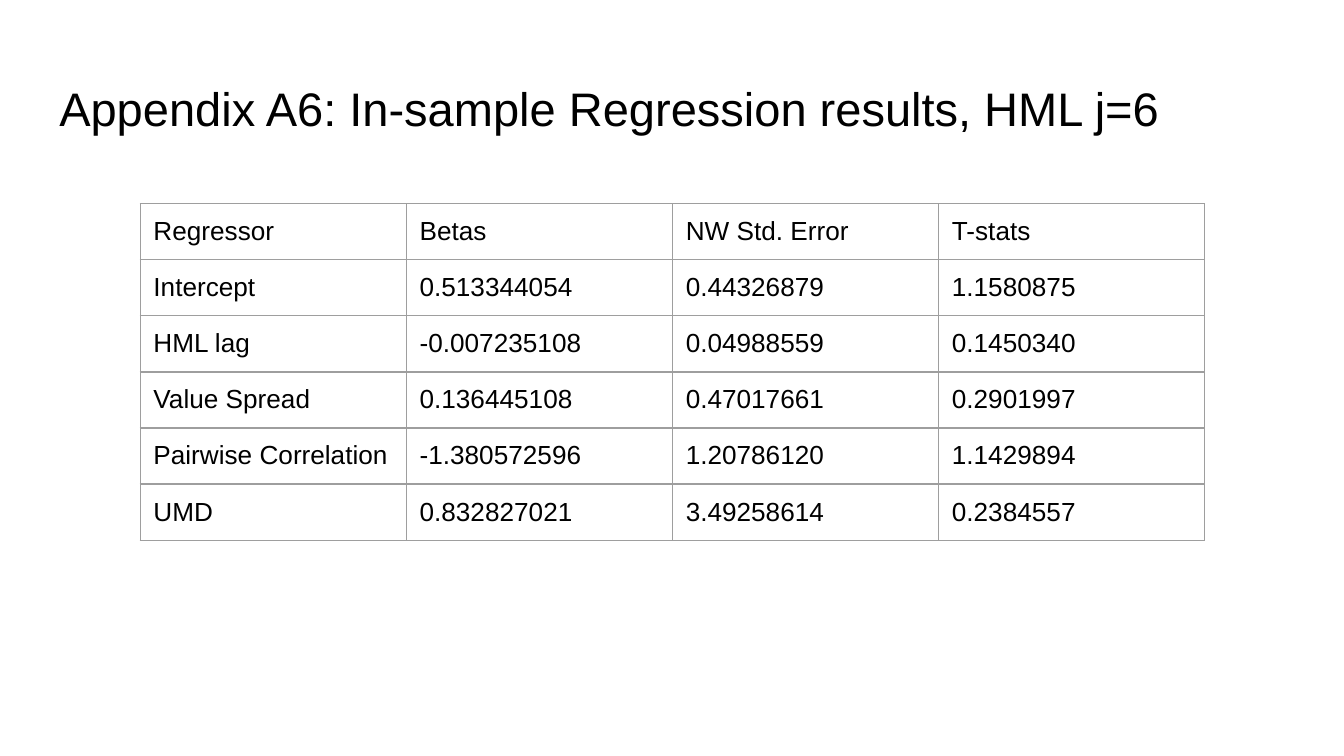
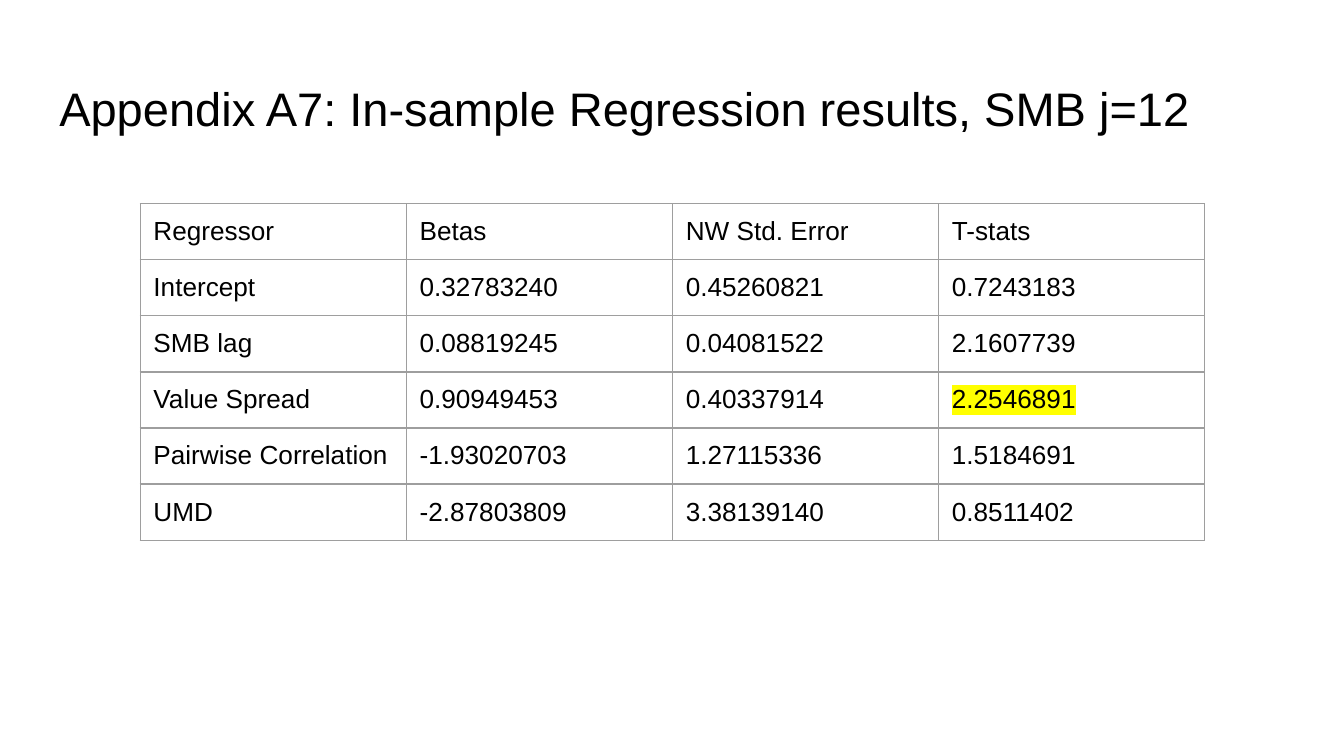
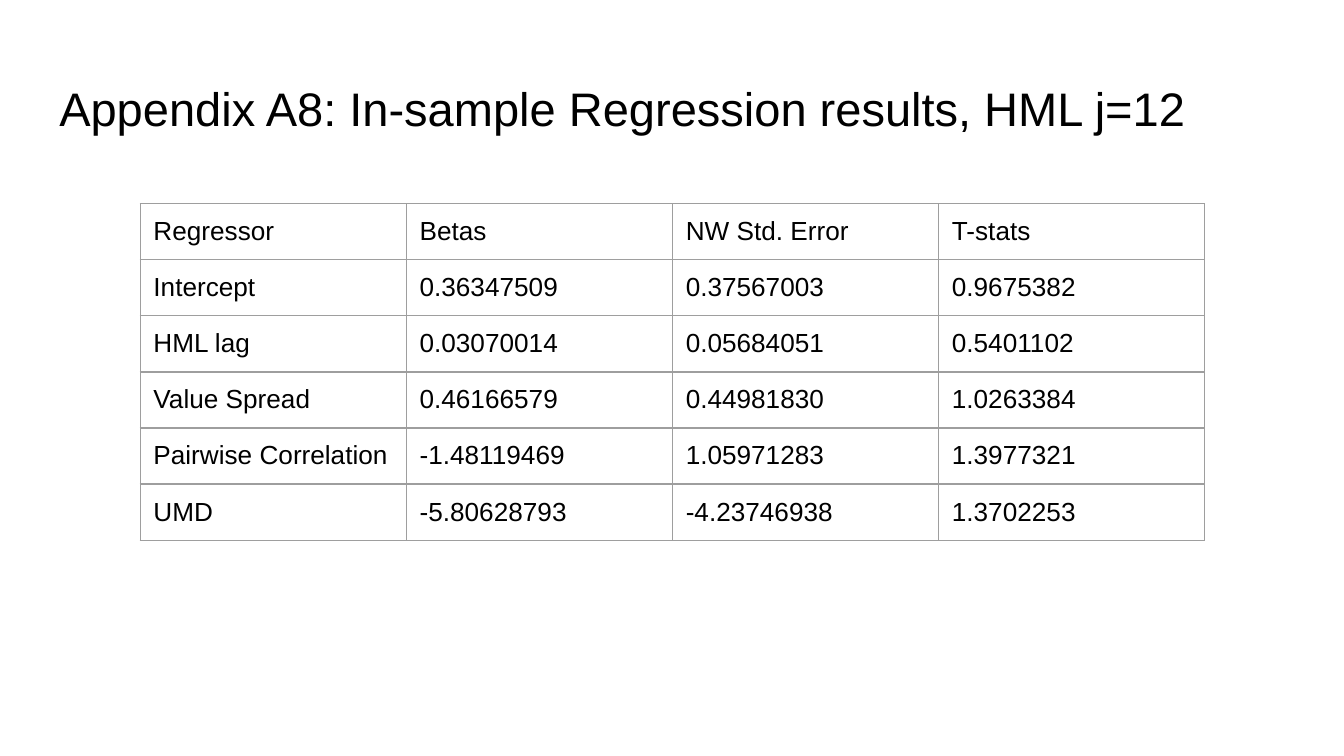
from lxml.etree import SubElement
from pptx import Presentation
from pptx.dml.color import RGBColor
from pptx.enum.text import MSO_ANCHOR, MSO_AUTO_SIZE, PP_ALIGN
from pptx.oxml.ns import qn
from pptx.util import Cm, Pt

BLACK = RGBColor(0x00, 0x00, 0x00)
GRAY = RGBColor(0x9E, 0x9E, 0x9E)
YELLOW = RGBColor(0xFF, 0xFF, 0x00)
FONT = "Arial"
INSET = Cm(0.25)

TITLE_BOX = (Cm(0.87), Cm(1.24), Cm(23.67), Cm(1.6))
TABLE_BOX = (Cm(2.65), Cm(3.85), Cm(20.12), Cm(6.36))

HEADER = ("Regressor", "Betas", "NW Std. Error", "T-stats")

# factor, horizon j, rows of (beta, standard error, t-stat), highlighted (row, column)
REGRESSIONS = [
    ("HML", 6, [
        ("0.513344054", "0.44326879", "1.1580875"),
        ("-0.007235108", "0.04988559", "0.1450340"),
        ("0.136445108", "0.47017661", "0.2901997"),
        ("-1.380572596", "1.20786120", "1.1429894"),
        ("0.832827021", "3.49258614", "0.2384557"),
    ], None),
    ("SMB", 12, [
        ("0.32783240", "0.45260821", "0.7243183"),
        ("0.08819245", "0.04081522", "2.1607739"),
        ("0.90949453", "0.40337914", "2.2546891"),
        ("-1.93020703", "1.27115336", "1.5184691"),
        ("-2.87803809", "3.38139140", "0.8511402"),
    ], (3, 3)),
    ("HML", 12, [
        ("0.36347509", "0.37567003", "0.9675382"),
        ("0.03070014", "0.05684051", "0.5401102"),
        ("0.46166579", "0.44981830", "1.0263384"),
        ("-1.48119469", "1.05971283", "1.3977321"),
        ("-5.80628793", "-4.23746938", "1.3702253"),
    ], None),
]


def set_insets(target):
    """Give a cell or text frame the shared inner margin."""
    target.margin_left = target.margin_right = INSET
    target.margin_top = target.margin_bottom = INSET


def style_paragraph(para, size):
    para.alignment = PP_ALIGN.LEFT
    para.font.name = FONT
    para.font.size = Pt(size)
    para.font.color.rgb = BLACK


def place_title(page, text, box):
    title = page.shapes.title
    title.left, title.top, title.width, title.height = box
    frame = title.text_frame
    frame.text = text
    frame.word_wrap = True
    frame.auto_size = MSO_AUTO_SIZE.NONE
    frame.vertical_anchor = MSO_ANCHOR.MIDDLE
    set_insets(frame)
    style_paragraph(frame.paragraphs[0], 25.2)


def add_color(parent, tag, color):
    SubElement(SubElement(parent, qn(tag)), qn("a:srgbClr"), val=str(color))


def draw_borders(cell):
    properties = cell._tc.get_or_add_tcPr()
    for side in ("a:lnL", "a:lnR", "a:lnT", "a:lnB"):
        line = SubElement(properties, qn(side), w=str(Pt(0.75)))
        add_color(line, "a:solidFill", GRAY)


def fill_cell(cell, text):
    cell.text = text
    set_insets(cell)
    draw_borders(cell)
    cell.fill.background()
    style_paragraph(cell.text_frame.paragraphs[0], 14)


def highlight(cell):
    span = cell.text_frame.paragraphs[0].runs[0]
    add_color(span._r.get_or_add_rPr(), "a:highlight", YELLOW)


def add_results_table(page, rows, marked, box):
    table = page.shapes.add_table(len(rows), len(HEADER), *box).table
    table.first_row = table.horz_banding = False
    for row_index, row in enumerate(rows):
        for column_index, text in enumerate(row):
            fill_cell(table.cell(row_index, column_index), text)
    if marked:
        highlight(table.cell(*marked))


def add_regression_page(deck, number, factor, horizon, results, marked):
    page = deck.slides.add_slide(deck.slide_layouts.get_by_name("Title Only"))
    place_title(page, f"Appendix A{number}: In-sample Regression results, "
                      f"{factor} j={horizon}", TITLE_BOX)
    regressors = ("Intercept", f"{factor} lag", "Value Spread",
                  "Pairwise Correlation", "UMD")
    rows = [HEADER] + [(name, *values) for name, values in zip(regressors, results)]
    add_results_table(page, rows, marked, TABLE_BOX)


def main():
    deck = Presentation()
    deck.slide_width, deck.slide_height = Cm(25.4), Cm(14.29)
    for number, regression in enumerate(REGRESSIONS, start=6):
        add_regression_page(deck, number, *regression)
    deck.save("out.pptx")


if __name__ == "__main__":
    main()
